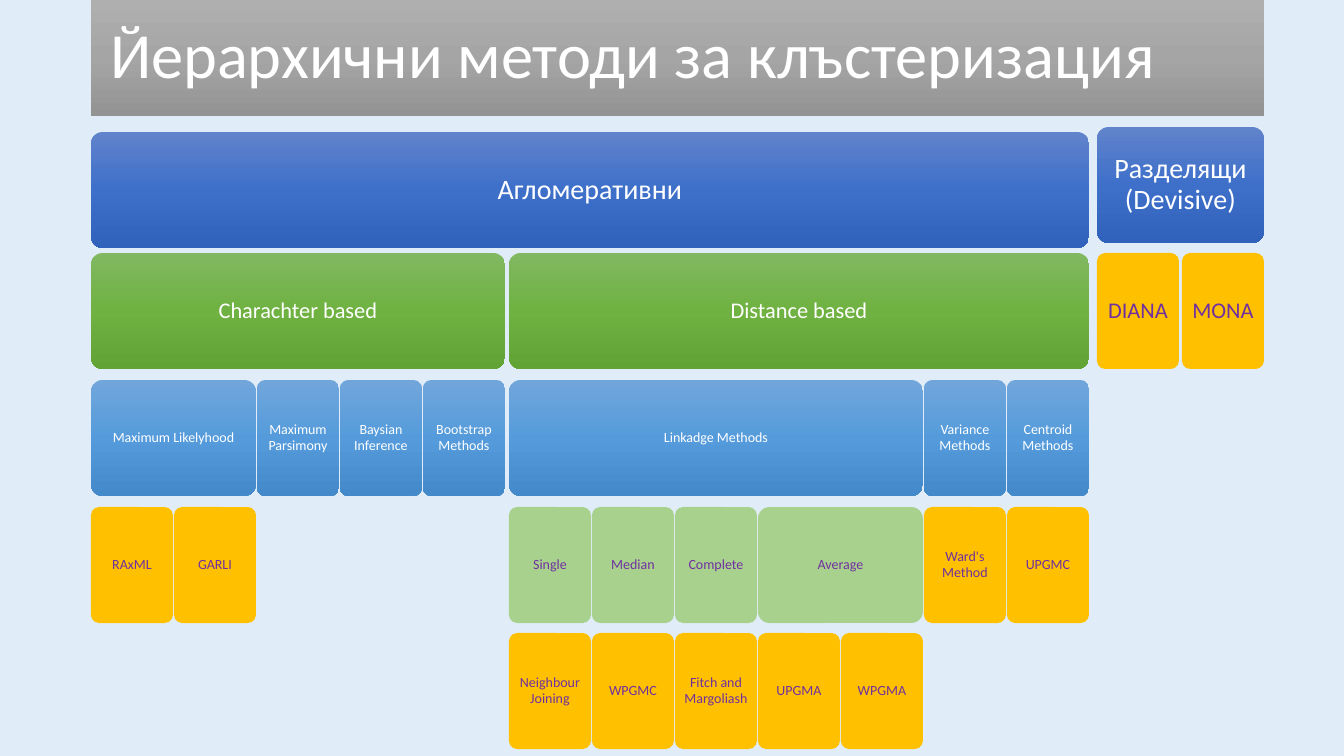
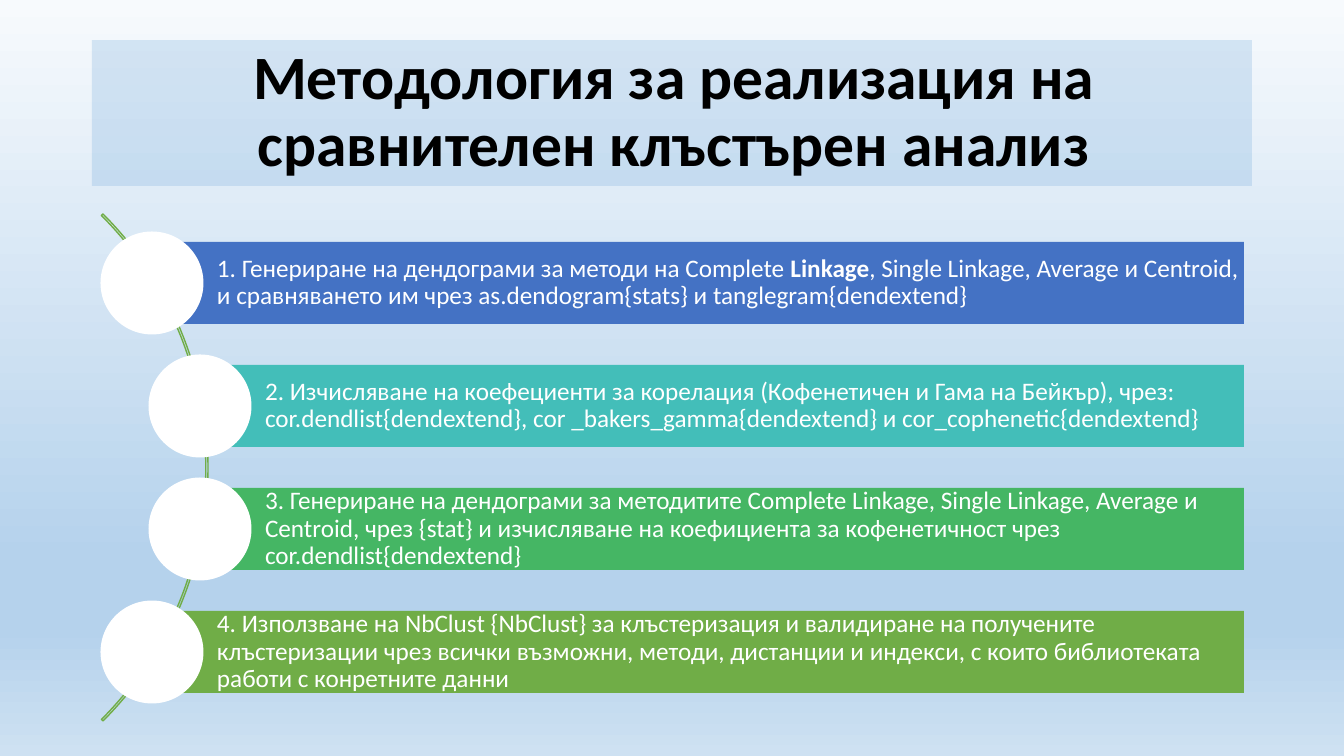
"""Build two slides on hierarchical clustering: a method map and a work plan."""
from copy import deepcopy

from lxml import etree
from pptx import Presentation
from pptx.dml.color import RGBColor
from pptx.enum.shapes import MSO_SHAPE
from pptx.enum.text import MSO_ANCHOR, MSO_AUTO_SIZE, PP_ALIGN
from pptx.oxml.ns import qn
from pptx.util import Pt

ROUND, RECT = MSO_SHAPE.ROUNDED_RECTANGLE, MSO_SHAPE.RECTANGLE
OVAL, ARC = MSO_SHAPE.OVAL, MSO_SHAPE.BLOCK_ARC
LEFT, CENTER = PP_ALIGN.LEFT, PP_ALIGN.CENTER
MIDDLE, FIXED = MSO_ANCHOR.MIDDLE, MSO_AUTO_SIZE.NONE

WIDE, HIGH = 1344, 756
SCALE = 12192000 / WIDE
FONT = "Calibri"
WHITE, BLACK, PURPLE = "FFFFFF", "000000", "7030A0"
GOLD, LIME, LEAF = "FFC000", "A9D18E", "70AD47"
GRAY = [(0, "AFAFAF"), (50, "A5A5A5"), (100, "939393")]
NAVY = [(0, "6183CB"), (50, "3E70CA"), (100, "3062BB")]
GREEN = [(0, "81B861"), (50, "6FB242"), (100, "62A336")]
BLUE = [(0, "71A6DB"), (50, "559BDB"), (100, "448ACA")]
SKY = [(0, "F7FAFD"), (74, "B5D2EC"), (83, "B5D2EC"), (100, "CEE1F2")]


def paint(fill, node, hue):
    """Fill with one hex colour, or with a downward gradient of stops."""
    if isinstance(hue, str):
        fill.solid()
        fill.fore_color.rgb = RGBColor.from_string(hue)
        return
    fill.gradient()
    fill.gradient_angle = 270
    stops = node.find(".//" + qn("a:gsLst"))
    while len(stops) < len(hue):
        stops.append(deepcopy(stops[0]))
    for stop, (place, tint) in zip(fill.gradient_stops, hue):
        stop.position = place / 100
        stop.color.rgb = RGBColor.from_string(tint)


def write(shape, text, size, ink, align, pad, side):
    """Put one paragraph in a shape; parts between asterisks are bold."""
    frame = shape.text_frame
    frame.word_wrap = True
    frame.auto_size = FIXED
    frame.vertical_anchor = MIDDLE
    frame.margin_left = round(side * SCALE)
    frame.margin_top = frame.margin_right = frame.margin_bottom = round(pad * SCALE)
    para = frame.paragraphs[0]
    para.alignment = align
    para.line_spacing = 0.9
    para.font.name = FONT
    para.font.size = Pt(size)
    para.font.color.rgb = RGBColor.from_string(ink)
    for i, part in enumerate(text.split("*")):
        run = para.add_run()
        run.text = part
        if i % 2:
            run.font.bold = True


deck = Presentation()
deck.slide_width, deck.slide_height = round(WIDE * SCALE), round(HIGH * SCALE)
heads = [
    ("Йерархични методи за клъстеризация", (91, 0, 1173, 116), "E0ECF7"),
    ("Методология за реализация на сравнителен клъстърен анализ",
     (92, 40, 1160, 146), SKY),
]
slides = []
for text, area, back in heads:
    slide = deck.slides.add_slide(deck.slide_layouts[5])
    paint(slide.background.fill, slide.element, back)
    title = slide.shapes.title
    title.left, title.top, title.width, title.height = [round(n * SCALE) for n in area]
    slides.append(slide)
chart, plan = slides

title = chart.shapes.title
etree.SubElement(title.element.spPr, qn("a:prstGeom"), prst="roundRect")
title.adjustments[0] = 0.1
paint(title.fill, title.element, GRAY)
write(title, heads[0][0], 46, WHITE, LEFT, 19, 19)

UNIT, STEP, TALL = 82, 83, 116
cols = [91 + STEP * i for i in range(5)] + [509 + STEP * i for i in range(7)] + [1097, 1182]
tiers = [
    (132, 20, 8, NAVY, WHITE, [("Агломеративни", 0, 11)]),
    (127, 20, 8, NAVY, WHITE, [("Разделящи (Devisive)", 12, 13)]),
    (253, 16, 6, GREEN, WHITE, [("Charachter based", 0, 4), ("Distance based", 5, 11)]),
    (253, 16, 6, GOLD, PURPLE, [("DIANA", 12, 12), ("MONA", 13, 13)]),
    (380, 10, 4, BLUE, WHITE, [
        ("Maximum Likelyhood", 0, 1), ("Maximum Parsimony", 2, 2),
        ("Baysian Inference", 3, 3), ("Bootstrap Methods", 4, 4),
        ("Linkadge Methods", 5, 9), ("Variance Methods", 10, 10),
        ("Centroid Methods", 11, 11)]),
    (507, 10, 4, GOLD, PURPLE, [
        ("RAxML", 0, 0), ("GARLI", 1, 1), ("Ward's Method", 10, 10), ("UPGMC", 11, 11)]),
    (507, 10, 4, LIME, PURPLE, [
        ("Single", 5, 5), ("Median", 6, 6), ("Complete", 7, 7), ("Average", 8, 9)]),
    (633, 10, 4, GOLD, PURPLE, [
        ("Neighbour Joining", 5, 5), ("WPGMC", 6, 6), ("Fitch and Margoliash", 7, 7),
        ("UPGMA", 8, 8), ("WPGMA", 9, 9)]),
]
for top, size, pad, hue, ink, boxes in tiers:
    for text, first, last in boxes:
        area = cols[first], top, cols[last] + UNIT - cols[first], TALL
        box = chart.shapes.add_shape(ROUND, *[round(n * SCALE) for n in area])
        box.adjustments[0] = 0.1
        box.shadow.inherit = False
        box.line.fill.background()
        paint(box.fill, box.element, hue)
        write(box, text, size, ink, CENTER, pad, pad)

title = plan.shapes.title
paint(title.fill, title.element, "5B9BD5")
tint = title.element.spPr.find(".//" + qn("a:srgbClr"))
etree.SubElement(tint, qn("a:alpha"), val="21000")
write(title, heads[1][0], 44, BLACK, CENTER, 5, 10)
title.text_frame.paragraphs[0].font.bold = True

arc = plan.shapes.add_shape(ARC, *[round(n * SCALE) for n in (-509, 109, 717, 717)])
for i, bend in enumerate((189, 27, 0.003)):
    arc.adjustments[i] = bend
arc.shadow.inherit = False
arc.fill.background()
paint(arc.line.fill, arc.element, LEAF)
arc.line.width = Pt(1)

BAR, DISC, EDGE = 82, 103, 1244
steps = [
    (152, "4472C4", "1. Генериране на дендограми за методи на Complete *Linkage*, Single Linkage, "
     "Average и Centroid, и сравняването им чрез as.dendogram{stats} и tanglegram{dendextend}"),
    (200, "43BEB9", "2. Изчисляване на коефециенти за корелация (Кофенетичен и Гама на Бейкър), "
     "чрез: cor.dendlist{dendextend}, cor _bakers_gamma{dendextend} и "
     "cor_cophenetic{dendextend}"),
    (200, "45B664", "3. Генериране на дендограми за методитите Complete Linkage, Single Linkage, "
     "Average и Centroid, чрез {stat} и изчисляване на коефициента за кофенетичност чрез "
     "cor.dendlist{dendextend}"),
    (152, LEAF, "4. Използване на NbClust {NbClust} за клъстеризация и валидиране на получените "
     "клъстеризации чрез всички възможни, методи, дистанции и индекси, с които библиотеката "
     "работи с конретните данни"),
]
for i, (left, hue, text) in enumerate(steps):
    top = 242 + 123 * i
    bar = (left, top, EDGE - left, BAR)
    disc = (left - DISC / 2, top + (BAR - DISC) / 2, DISC, DISC)
    for kind, area, tone in ((RECT, bar, hue), (OVAL, disc, WHITE)):
        shape = plan.shapes.add_shape(kind, *[round(n * SCALE) for n in area])
        shape.shadow.inherit = False
        shape.line.fill.background()
        paint(shape.fill, shape.element, tone)
        if kind == RECT:
            write(shape, text, 18, WHITE, LEFT, 5, 65)

deck.save("out.pptx")
